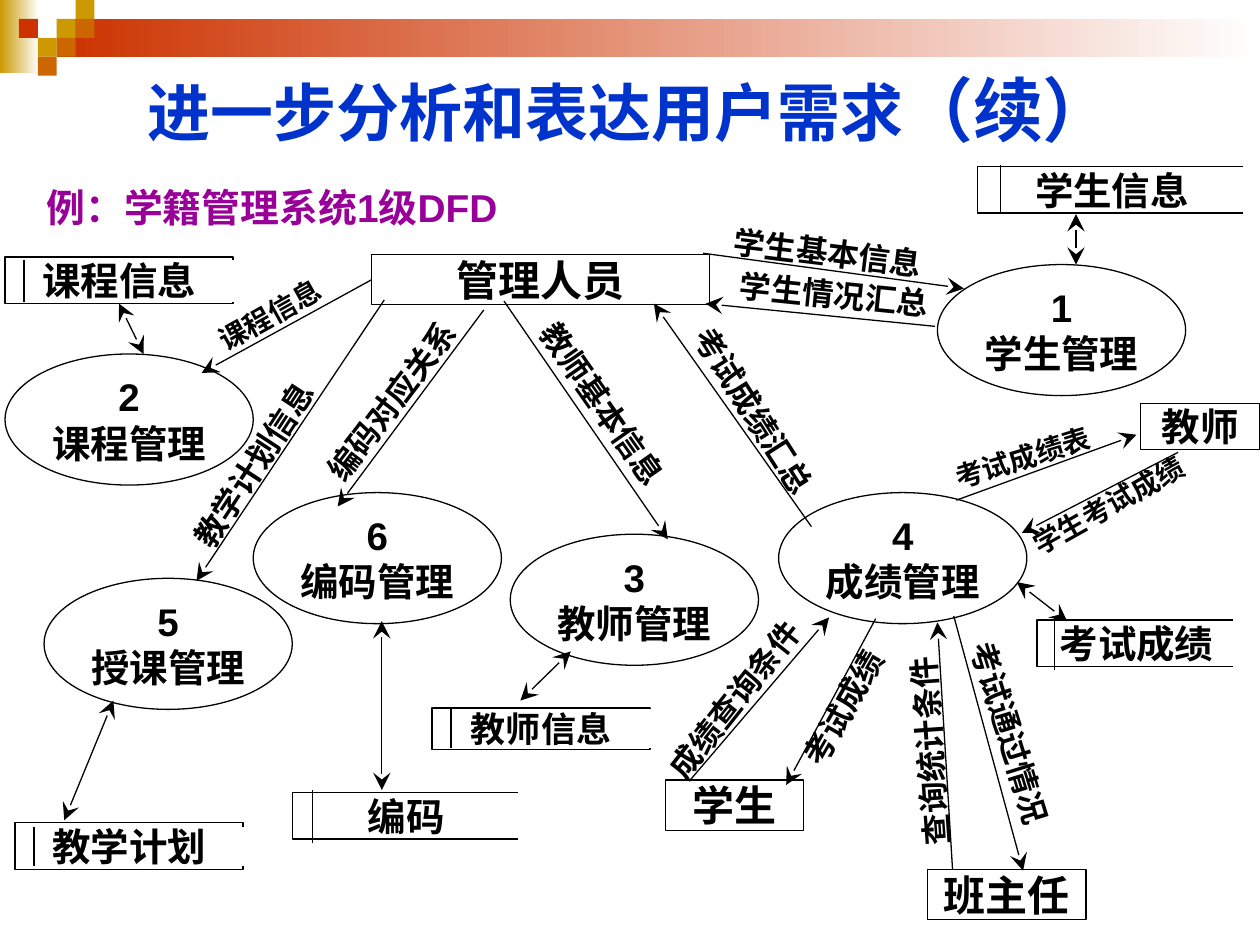
"""Build the level-1 data flow diagram slide of a student records system."""
import pptx
import pptx.util
import pptx.dml.color
import pptx.enum.shapes
import pptx.enum.text
import pptx.oxml.ns
import lxml.etree

Inches, Pt = pptx.util.Inches, pptx.util.Pt
RGBColor = pptx.dml.color.RGBColor
Kind = pptx.enum.shapes.MSO_SHAPE
Align = pptx.enum.text.PP_ALIGN
Anchor = pptx.enum.text.MSO_ANCHOR

BLACK = RGBColor(0x00, 0x00, 0x00)
WHITE = RGBColor(0xFF, 0xFF, 0xFF)
BLUE = RGBColor(0x00, 0x33, 0xCC)
PURPLE = RGBColor(0x99, 0x00, 0x99)
GOLD = RGBColor(0xCC, 0x99, 0x00)
ORANGE = RGBColor(0xCC, 0x66, 0x00)
RED = RGBColor(0xCC, 0x33, 0x00)

FADES = [((0, 0, 0.31, 0.58), GOLD), ((0.45, 0.15, 9.55, 0.3), RED)]
TILE = 0.15
TILES = [(3, 1, GOLD), (4, 0, GOLD), (4, 1, ORANGE), (2, 2, GOLD),
         (1, 1, RED), (3, 2, ORANGE), (2, 3, ORANGE)]

TITLE = [("进一步分析和表达用户需求", 36), ("（续）", 40)]
TOPIC = [("例：学籍管理系统1级DFD", 22.2)]

OVAL = (1.97, 1.04)
TASKS = [
    ("1", "学生管理", 7.44, 2.1),
    ("2", "课程管理", 0.04, 2.81),
    ("3", "教师管理", 4.05, 4.24),
    ("4", "成绩管理", 6.18, 3.91),
    ("5", "授课管理", 0.35, 4.59),
    ("6", "编码管理", 2.01, 3.91),
]

# name, size, box, bar offset, bar top, bar bottom
STORES = [
    ("学生信息", 22, (7.76, 1.32, 2.13, 0.37), 0.18, 1.31, 1.7),
    ("教师信息", 20, (3.43, 5.62, 1.73, 0.33), 0.15, 5.63, 5.94),
    ("课程信息", 22, (0.04, 2.04, 1.81, 0.37), 0.15, 2.06, 2.4),
    ("教学计划", 22, (0.12, 6.53, 1.81, 0.37), 0.15, 6.56, 6.87),
    ("考试成绩", 22, (8.23, 4.92, 1.58, 0.37), 0.14, 4.9, 5.32),
    ("编码", 22, (2.32, 6.29, 1.81, 0.37), 0.16, 6.27, 6.69),
]

ROLES = [
    ("教师", 22, (9.05, 3.2, 0.95, 0.37)),
    ("管理人员", 24, (2.95, 2.02, 2.68, 0.4)),
    ("学生", 24, (5.28, 6.19, 1.1, 0.4)),
    ("班主任", 24, (7.36, 6.9, 1.26, 0.4)),
]

# start, end, joined box and side at the start
LINKS = [
    ((4.13, 5.56), (4.53, 5.17), None),
    ((0.51, 6.51), (0.9, 5.56), None),
    ((8.07, 4.62), (8.47, 4.93), None),
    ((3.03, 4.93), (3.03, 6.27), None),
    ((0.94, 2.41), (1.14, 2.81), ("课程信息", 2)),
    ((8.54, 2.1), (8.54, 1.7), None),
]

# label, size, start, end, label box, turn, joined box and side at the start
FLOWS = [
    ("学生情况汇总", 18, (7.42, 2.59), (5.6, 2.41), (5.87, 2.19, 1.62, 0.3), 5.8, None),
    ("考试成绩汇总", 18, (6.44, 4.18), (5.19, 2.41), (5.2, 3.17, 1.65, 0.3), 57.5, None),
    ("学生基本信息", 18, (5.58, 2.01), (7.65, 2.29), (5.82, 1.87, 1.79, 0.3), 7, None),
    ("教师基本信息", 18, (4, 2.39), (5.3, 4.28), (4.01, 3.1, 1.61, 0.3), 54.9, None),
    ("教学计划信息", 18, (3.05, 2.38), (1.56, 4.61), (1.2, 3.42, 1.78, 0.3), 303.1, None),
    ("编码对应关系", 18, (3.84, 2.46), (2.68, 4.02), (2.3, 2.92, 1.78, 0.3), 307.2, None),
    ("学生考试成绩", 16, (9.35, 3.59), (8.11, 4.23), (8.12, 3.83, 1.51, 0.27), 330.7, None),
    ("考试成绩表", 16, (7.59, 3.97), (9.02, 3.45), (7.56, 3.48, 1.22, 0.27), 343, None),
    ("考试通过情况", 18, (7.57, 4.89), (8.12, 6.91), (7.17, 5.8, 1.78, 0.3), 72.9, None),
    ("查询统计条件", 18, (7.56, 6.9), (7.44, 4.94), (6.48, 5.67, 1.78, 0.3), 265.9, None),
    ("成绩查询条件", 18, (5.47, 6.2), (6.58, 4.9), (5.04, 5.32, 1.7, 0.3), 308.3, None),
    ("考试成绩", 18, (6.95, 4.91), (6.24, 6.23), (6.14, 5.38, 1.2, 0.3), 299.9, None),
    ("课程信息", 16, (2.96, 2.25), (1.6, 2.96), (1.69, 2.33, 1.03, 0.27), 330.7, ("管理人员", 1)),
]

deck = pptx.Presentation()
deck.slide_width, deck.slide_height = Inches(10), Inches(7.5)
slide = deck.slides.add_slide(deck.slide_layouts[6])
shapes = slide.shapes
boxes = {}


def write(shape, lines, color=BLACK, align=Align.CENTER, anchor=Anchor.MIDDLE, pad=(0, 0)):
    frame = shape.text_frame
    frame.word_wrap = True
    frame.vertical_anchor = anchor
    frame.margin_left = frame.margin_right = Inches(pad[0])
    frame.margin_top = frame.margin_bottom = Inches(pad[1])
    for i, line in enumerate(lines):
        para = frame.add_paragraph() if i else frame.paragraphs[0]
        para.alignment = align
        for text, size in line:
            run = para.add_run()
            run.text = text
            run.font.name, run.font.size = "Arial", Pt(size)
            run.font.bold = True
            run.font.color.rgb = color


def draw(kind, box):
    shape = shapes.add_shape(kind, *map(Inches, box))
    shape.shadow.inherit = False
    return shape


def block(box, color):
    shape = draw(Kind.RECTANGLE, box)
    shape.fill.solid()
    shape.fill.fore_color.rgb = color
    shape.line.fill.background()
    return shape


def node(kind, box, lines):
    shape = draw(kind, box)
    shape.fill.background()
    shape.line.color.rgb, shape.line.width = BLACK, Pt(0.75)
    write(shape, lines)
    return shape


def label(box, lines, **style):
    shape = shapes.add_textbox(*map(Inches, box))
    write(shape, lines, **style)
    return shape


def rule(start, end, color=BLACK, width=0.75, tips=(), join=None):
    line = shapes.add_connector(pptx.enum.shapes.MSO_CONNECTOR.STRAIGHT,
                                *map(Inches, start + end))
    if join:
        line.begin_connect(boxes[join[0]], join[1])
    line.line.color.rgb, line.line.width = color, Pt(width)
    qn = pptx.oxml.ns.qn
    stroke = line.line._get_or_add_ln()
    for tip in tips:
        lxml.etree.SubElement(stroke, qn("a:" + tip), type="stealth", w="lg", len="lg")
    lxml.etree.SubElement(line._element.spPr, qn("a:effectLst"))


for box, color in FADES:
    fill = block(box, color).fill
    fill.gradient()
    fill.gradient_angle = 0
    for stop, tone in zip(fill.gradient_stops, (color, WHITE)):
        stop.color.rgb = tone
for col, row, color in TILES:
    block((col * TILE, row * TILE, TILE, TILE), color)

label((0.5, 0.5, 9, 0.73), [TITLE], color=BLUE, pad=(0.1, 0.05))
topic = label((0.27, 1.39, 4.17, 0.63), [TOPIC], color=PURPLE,
              align=Align.LEFT, anchor=Anchor.TOP, pad=(0.1, 0.05))
topic.text_frame.paragraphs[0].line_spacing = 1.05

for num, name, x, y in TASKS:
    node(Kind.OVAL, (x, y) + OVAL, [[(num, 22)], [(name, 22)]])
for name, size, box, gap, top, low in STORES:
    boxes[name] = node(Kind.RECTANGLE, box, [[(name, size)]])
    left, right = box[0] + gap, box[0] + box[2]
    rule((left, top), (left, low))
    rule((right, top), (right, low), WHITE, 3)
for name, size, box in ROLES:
    boxes[name] = node(Kind.RECTANGLE, box, [[(name, size)]])

for start, end, join in LINKS:
    rule(start, end, tips=("headEnd", "tailEnd"), join=join)
for name, size, start, end, box, turn, join in FLOWS:
    rule(start, end, tips=("tailEnd",), join=join)
    label(box, [[(name, size)]], align=Align.LEFT, anchor=Anchor.TOP).rotation = turn

deck.save("out.pptx")
